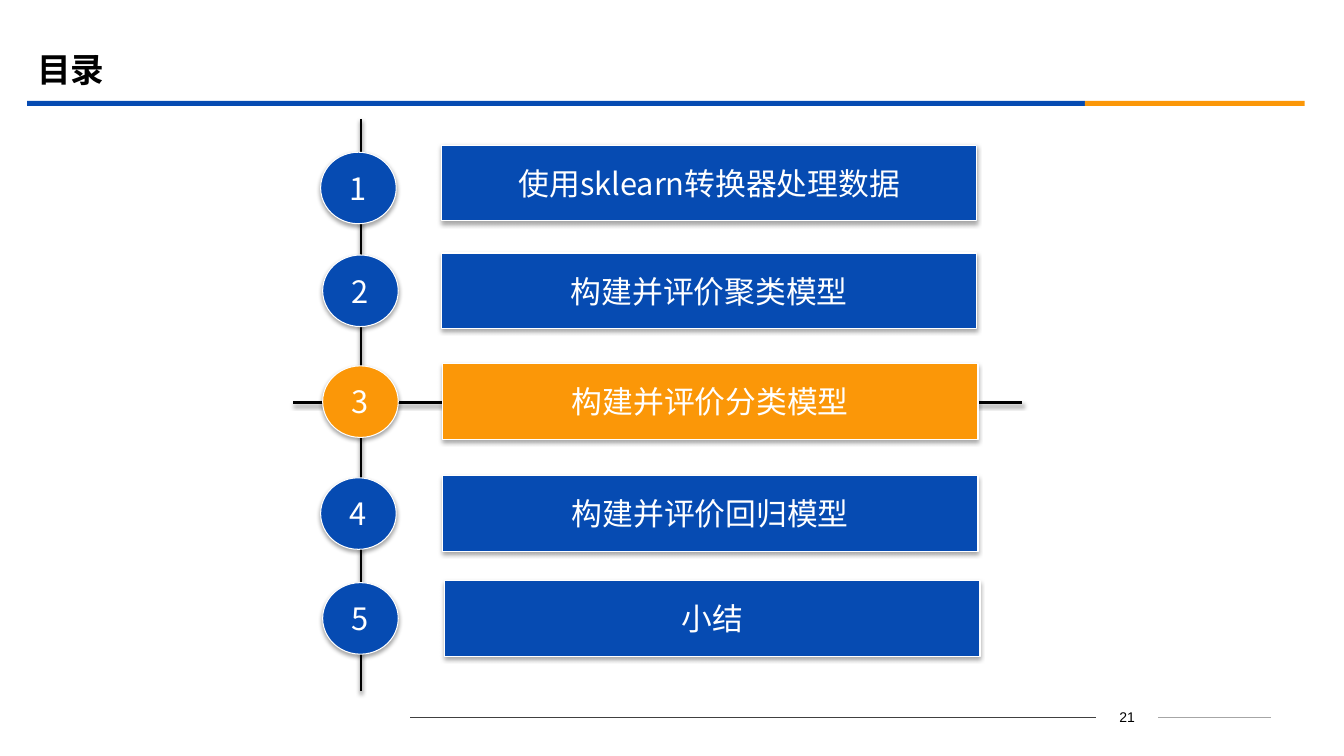
import pptx
import pptx.util
import pptx.dml.color
import pptx.enum.shapes
import pptx.enum.text
import pptx.oxml
import pptx.oxml.ns

Inches, Pt = pptx.util.Inches, pptx.util.Pt
RGBColor = pptx.dml.color.RGBColor
MSO_SHAPE = pptx.enum.shapes.MSO_SHAPE
ALIGN = pptx.enum.text.PP_ALIGN
MIDDLE = pptx.enum.text.MSO_ANCHOR.MIDDLE

BLUE = RGBColor(0x06, 0x4B, 0xB2)
ORANGE = RGBColor(0xFB, 0x97, 0x08)
BLACK = RGBColor(0, 0, 0)
WHITE = RGBColor(255, 255, 255)
DARK = RGBColor(0x40, 0x40, 0x40)
GREY = RGBColor(0xA6, 0xA6, 0xA6)

WIDTH, HEIGHT = 13.33, 7.5
CJK = "Noto Sans CJK SC"
ENTRY = {"size": Pt(22), "name": CJK, "bold": False}
TITLE = {"size": Pt(24), "name": CJK, "bold": True}
NUMBER = {"size": Pt(10), "name": "Arial", "bold": False}

CURRENT = 3
ENTRIES = [
    ("使用sklearn转换器处理数据", 1.44, 4.38, 3.18, 1.51),
    ("构建并评价聚类模型", 2.51, 4.38, 3.2, 2.53),
    ("构建并评价分类模型", 3.61, 4.39, 3.2, 3.63),
    ("构建并评价回归模型", 4.72, 4.39, 3.18, 4.74),
    ("小结", 5.76, 4.41, 3.2, 5.78),
]


def set_effects(sp, alpha=None, dist=0):
    """Give a shape a soft downward shadow, or none when alpha is missing."""
    shadow = "" if alpha is None else (
        f'<a:outerShdw blurRad="{Pt(3.1)}" dist="{Pt(dist)}" dir="5400000" rotWithShape="0">'
        f'<a:srgbClr val="000000"><a:alpha val="{alpha * 1000}"/></a:srgbClr></a:outerShdw>')
    sp._element.spPr.append(pptx.oxml.parse_xml(
        f'<a:effectLst {pptx.oxml.ns.nsdecls("a")}>{shadow}</a:effectLst>'))


def write(sp, text, style, color, align, wrap):
    """Write one vertically centred paragraph into a shape."""
    tf = sp.text_frame
    tf.word_wrap, tf.vertical_anchor = wrap, MIDDLE
    p = tf.paragraphs[0]
    p.alignment = align
    r = p.add_run()
    r.text = text
    for key, value in style.items():
        setattr(r.font, key, value)
    r.font.color.rgb = color
    ea = r._r.get_or_add_rPr().makeelement(pptx.oxml.ns.qn("a:ea"), {"typeface": style["name"]})
    r.font._element.find(pptx.oxml.ns.qn("a:latin")).addnext(ea)


def add_text(s, box, text, style, align):
    """Add a black text box."""
    sp = s.shapes.add_textbox(*map(Inches, box))
    write(sp, text, style, BLACK, align, True)


def add_line(s, start, end, color, width, alpha=None):
    """Draw a straight line, with a shadow when alpha is given."""
    sp = s.shapes.add_connector(pptx.enum.shapes.MSO_CONNECTOR.STRAIGHT,
                                *map(Inches, start + end))
    sp.line.color.rgb, sp.line.width = color, Pt(width)
    set_effects(sp, alpha, 1.6)


def add_button(s, kind, box, text, color):
    """Draw a filled, white-edged shape with a shadow and a centred label."""
    sp = s.shapes.add_shape(kind, *map(Inches, box))
    sp.fill.solid()
    sp.fill.fore_color.rgb = color
    sp.line.color.rgb, sp.line.width = WHITE, Pt(0.75)
    set_effects(sp, 35, 1.8)
    write(sp, text, ENTRY, WHITE, ALIGN.CENTER, False)


def add_header(s, left, top, width, height):
    """Place the title above a two-colour rule at the bottom of the box."""
    add_text(s, (left, top, 12, 0.58), "目录", TITLE, ALIGN.LEFT)
    rule, split = 0.05, 10.49
    for x, w, color in ((left, split, BLUE), (left + split, width - split, ORANGE)):
        sp = s.shapes.add_shape(MSO_SHAPE.RECTANGLE,
                                *map(Inches, (x, top + height - rule, w, rule)))
        sp.fill.solid()
        sp.fill.fore_color.rgb = color
        sp.line.fill.background()
        set_effects(sp)


def add_agenda(s, left, top, width, height):
    """Place the axes, numbered circles and entry bars in the box."""
    axis, middle = left + 0.67, top + 2.81
    add_line(s, (axis, top), (axis, top + height), BLACK, 2, 38)
    add_line(s, (left, middle), (left + width, middle), BLACK, 2, 38)
    for number, (text, bar_y, bar_x, dot_x, dot_y) in enumerate(ENTRIES, 1):
        color = ORANGE if number == CURRENT else BLUE
        add_button(s, MSO_SHAPE.ACTION_BUTTON_CUSTOM, (bar_x, bar_y, 5.31, 0.75), text, color)
        add_button(s, MSO_SHAPE.OVAL, (dot_x, dot_y, 0.75, 0.71), str(number), color)


def add_footer(s, left, top, width, height):
    """Place the page number between two thin lines."""
    number_x, number_w, middle = left + 6.8, 0.62, top + height / 2
    add_line(s, (left, middle), (number_x, middle), DARK, 0.75)
    add_line(s, (number_x + number_w, middle), (left + width, middle), GREY, 0.75)
    add_text(s, (number_x, top, number_w, height), "21", NUMBER, ALIGN.CENTER)


def main():
    """Build and save the contents slide."""
    prs = pptx.Presentation()
    prs.slide_width, prs.slide_height = Inches(WIDTH), Inches(HEIGHT)
    s = prs.slides.add_slide(prs.slide_layouts[6])
    add_header(s, 0.27, 0.39, 12.67, 0.66)
    add_agenda(s, 2.91, 1.18, 7.23, 5.68)
    add_footer(s, 4.07, 6.99, 8.54, 0.25)
    prs.save("out.pptx")


if __name__ == "__main__":
    main()
